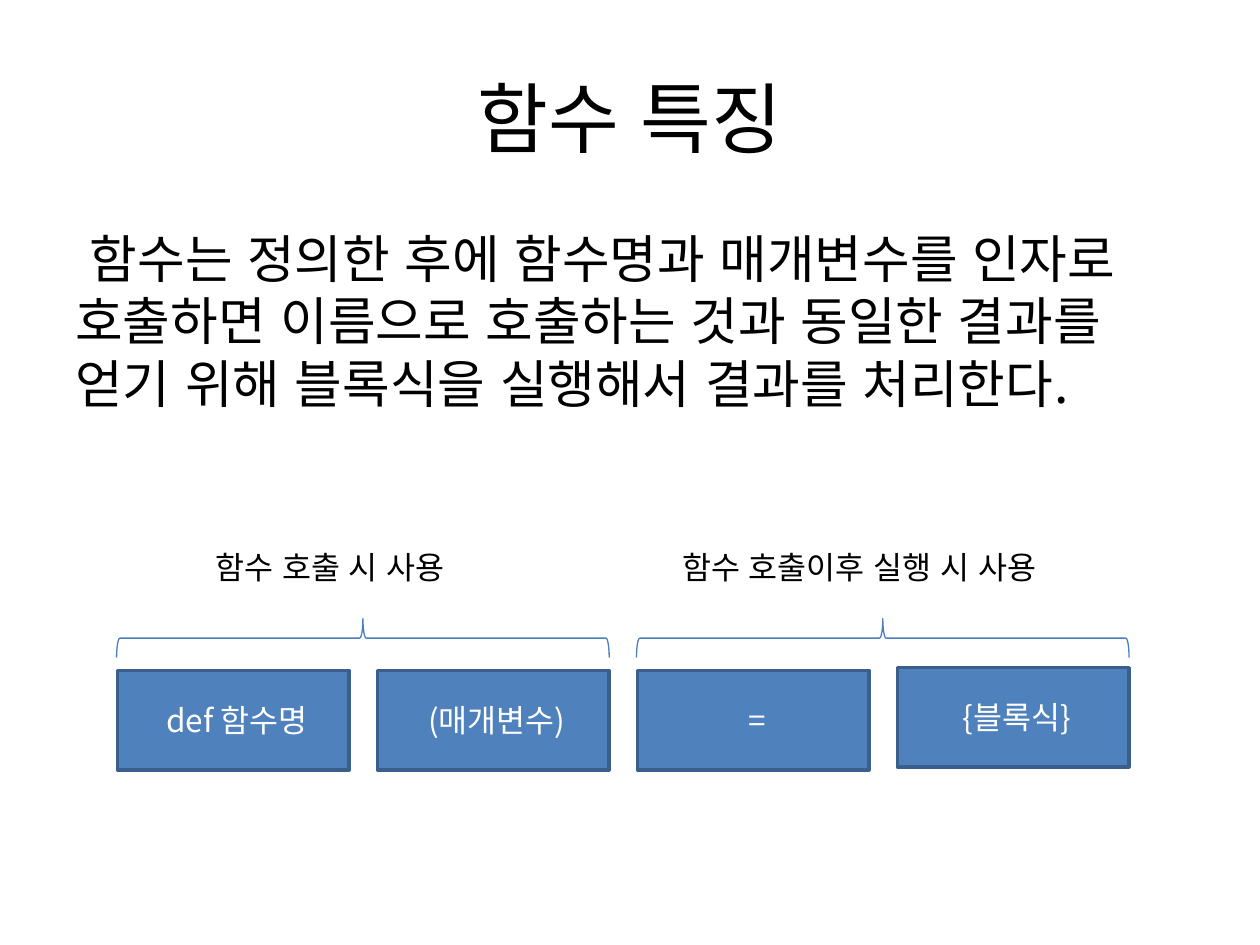
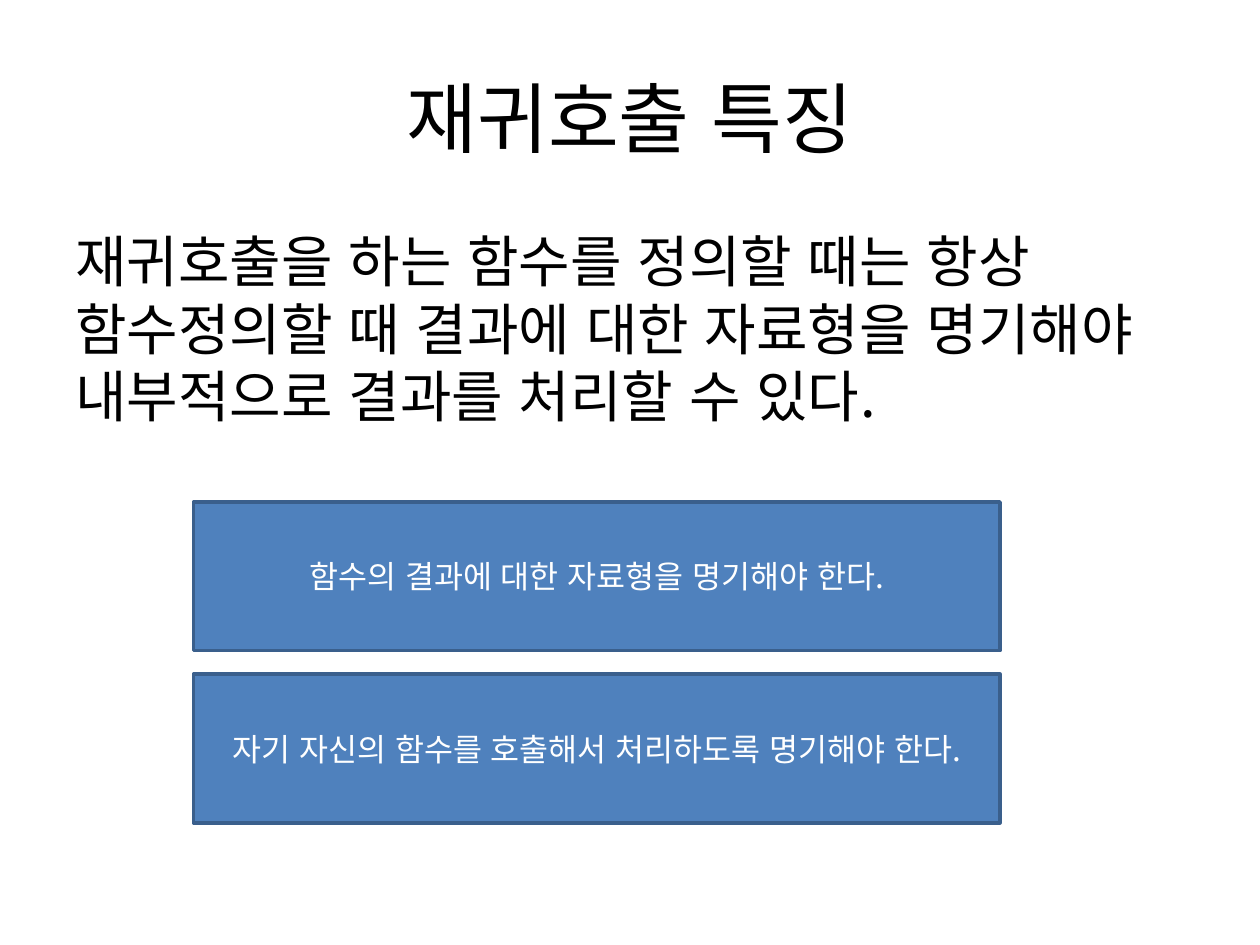
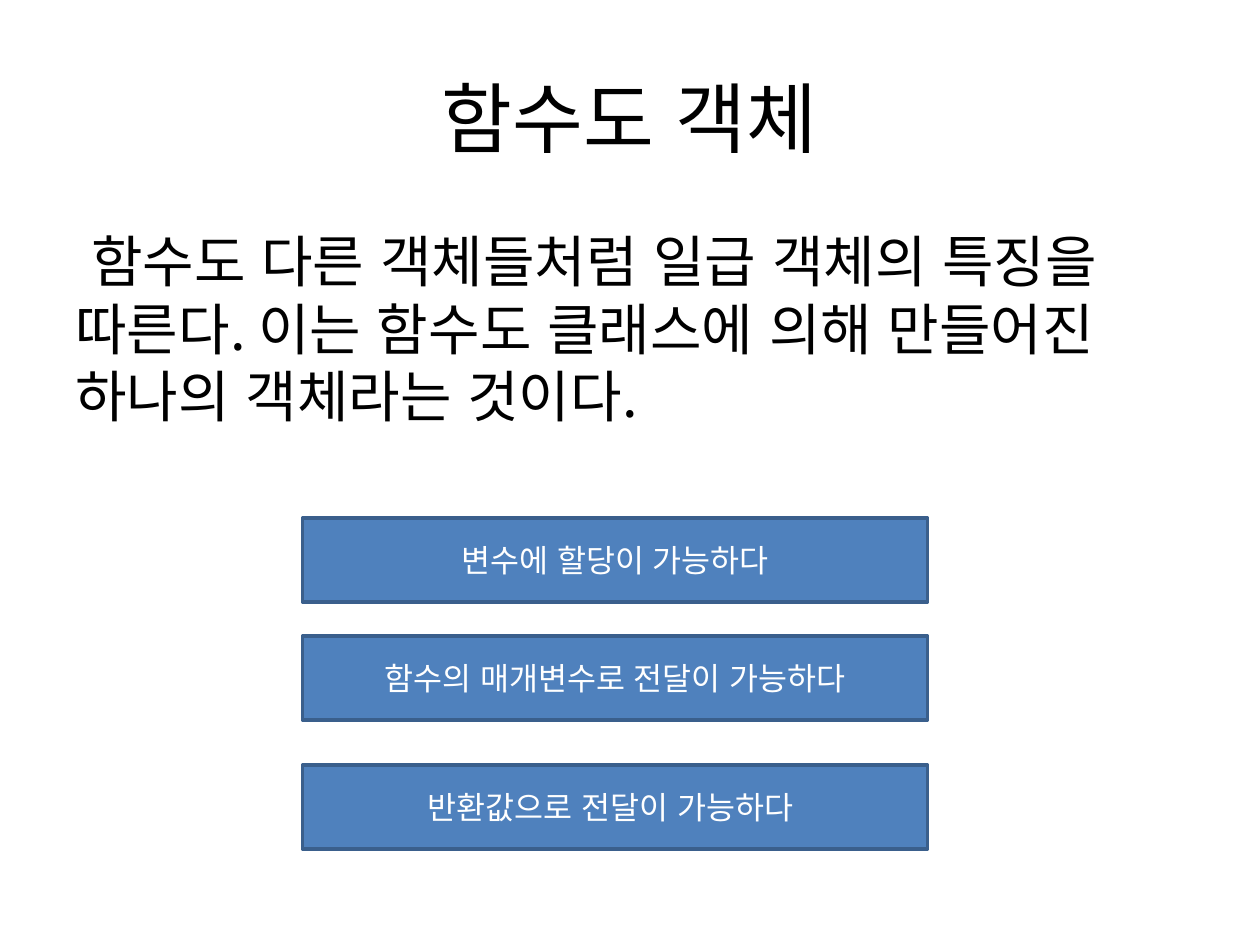
import pptx
import pptx.dml.color
import pptx.enum.lang
import pptx.enum.shapes
import pptx.enum.text
import pptx.oxml
import pptx.oxml.ns
import pptx.util
from pptx.util import Cm

FONT = "Noto Sans CJK KR"
BLACK, WHITE, BLUE = "000000", "FFFFFF", "4F81BD"
BOX_LINE, BRACE_LINE = "3A5F8C", "4B7EBC"
KOREAN = pptx.enum.lang.MSO_LANGUAGE_ID.KOREAN
LEFT = pptx.enum.text.PP_ALIGN.LEFT
CENTER = pptx.enum.text.PP_ALIGN.CENTER
TOP = pptx.enum.text.MSO_ANCHOR.TOP
MIDDLE = pptx.enum.text.MSO_ANCHOR.MIDDLE
RECTANGLE = pptx.enum.shapes.MSO_SHAPE.RECTANGLE
LEFT_BRACE = pptx.enum.shapes.MSO_SHAPE.LEFT_BRACE


def write(shape, text, size, color=BLACK, alignment=LEFT, anchor=MIDDLE):
    """Put one formatted paragraph into the shape."""
    frame_format = {"word_wrap": True, "vertical_anchor": anchor,
                    "auto_size": pptx.enum.text.MSO_AUTO_SIZE.NONE}
    for name, value in frame_format.items():
        setattr(shape.text_frame, name, value)
    paragraph = shape.text_frame.paragraphs[0]
    paragraph.alignment = alignment
    run = paragraph.add_run()
    run.text = text
    font_format = {"name": FONT, "size": pptx.util.Pt(size), "language_id": KOREAN}
    for name, value in font_format.items():
        setattr(run.font, name, value)
    run.font.color.rgb = pptx.dml.color.RGBColor.from_string(color)
    east_asian = pptx.oxml.parse_xml(f'<a:ea {pptx.oxml.ns.nsdecls("a")} typeface="{FONT}"/>')
    run._r.get_or_add_rPr().append(east_asian)


def add_outlined(shapes, kind, place, line_color, line_width, fill_color=None):
    """Add a preset shape without shadow; place is left, top, width, height in cm."""
    shape = shapes.add_shape(kind, *map(Cm, place))
    shape.shadow.inherit = False
    if fill_color:
        shape.fill.solid()
        shape.fill.fore_color.rgb = pptx.dml.color.RGBColor.from_string(fill_color)
    else:
        shape.fill.background()
    shape.line.color.rgb = pptx.dml.color.RGBColor.from_string(line_color)
    shape.line.width = pptx.util.Pt(line_width)
    return shape


presentation = pptx.Presentation()
presentation.slide_width, presentation.slide_height = Cm(25.4), Cm(19.05)

# Each box: text, left, top, width, height in cm
part_pitch = 5.24
parts = [(" def 함수명", 13.52), (" (매개변수)", 13.52), (" =", 13.52), (" {블록식}", 13.46)]
part_boxes = [(text, 2.37 + column * part_pitch, top, 4.67, 2)
              for column, (text, top) in enumerate(parts)]
rules = ["함수의 결과에 대한 자료형을 명기해야 한다.",
         "자기 자신의 함수를 호출해서 처리하도록 명기해야 한다."]
rule_boxes = [(text, 3.9, 10.12 + row * 3.47, 16.26, 3) for row, text in enumerate(rules)]
object_traits = [("변수에 할당이 가능하다", 10.44), ("함수의 매개변수로 전달이 가능하다", 12.82),
                 ("반환값으로 전달이 가능하다 ", 15.42)]
trait_boxes = [(text, 6.1, top, 12.6, 1.7) for text, top in object_traits]

pages = [
    ("함수 특징",
     " 함수는 정의한 후에 함수명과 매개변수를 인자로 호출하면 이름으로 호출하는 것과 "
     "동일한 결과를 얻기 위해 블록식을 실행해서 결과를 처리한다.", 29.6, 5.08, part_boxes),
    ("재귀호출 특징",
     "재귀호출을 하는 함수를 정의할 때는 항상 함수정의할 때 결과에 대한 자료형을 "
     "명기해야 내부적으로 결과를 처리할 수 있다.", 32, 5.08, rule_boxes),
    ("함수도 객체",
     " 함수도 다른 객체들처럼 일급 객체의 특징을 따른다. 이는 함수도 클래스에 의해 "
     "만들어진 하나의 객체라는 것이다.", 32, 4.09, trait_boxes),
]

for title_text, body_text, body_size, body_height, boxes in pages:
    slide = presentation.slides.add_slide(presentation.slide_layouts[5])
    title = slide.shapes.title
    title_place = {"left": 1.27, "top": 0.76, "width": 22.86, "height": 3.18}
    for name, value in title_place.items():
        setattr(title, name, Cm(value))
    write(title, title_text, 44, alignment=CENTER)
    body = slide.shapes.add_textbox(Cm(1.27), Cm(4.45), Cm(22.43), Cm(body_height))
    write(body, body_text, body_size, anchor=TOP)
    for text, *place in boxes:
        box = add_outlined(slide.shapes, RECTANGLE, place, BOX_LINE, 2, BLUE)
        write(box, text, 18, WHITE, CENTER)

# Braces over the two pairs of parts on the first slide
first_slide = presentation.slides[0]
usages = [("함수 호출 시 사용", 4.09, 6.4), ("함수 호출이후 실행 시 사용", 13.5, 9.27)]
for pair, (text, label_left, label_width) in enumerate(usages):
    brace_place = (6.92 + pair * 2 * part_pitch, 7.9, 0.79, 9.93)
    brace = add_outlined(first_slide.shapes, LEFT_BRACE, brace_place, BRACE_LINE, 0.75)
    brace.rotation = 90
    label = first_slide.shapes.add_textbox(Cm(label_left), Cm(10.92), Cm(label_width), Cm(1.02))
    write(label, text, 18)

presentation.save("out.pptx")
